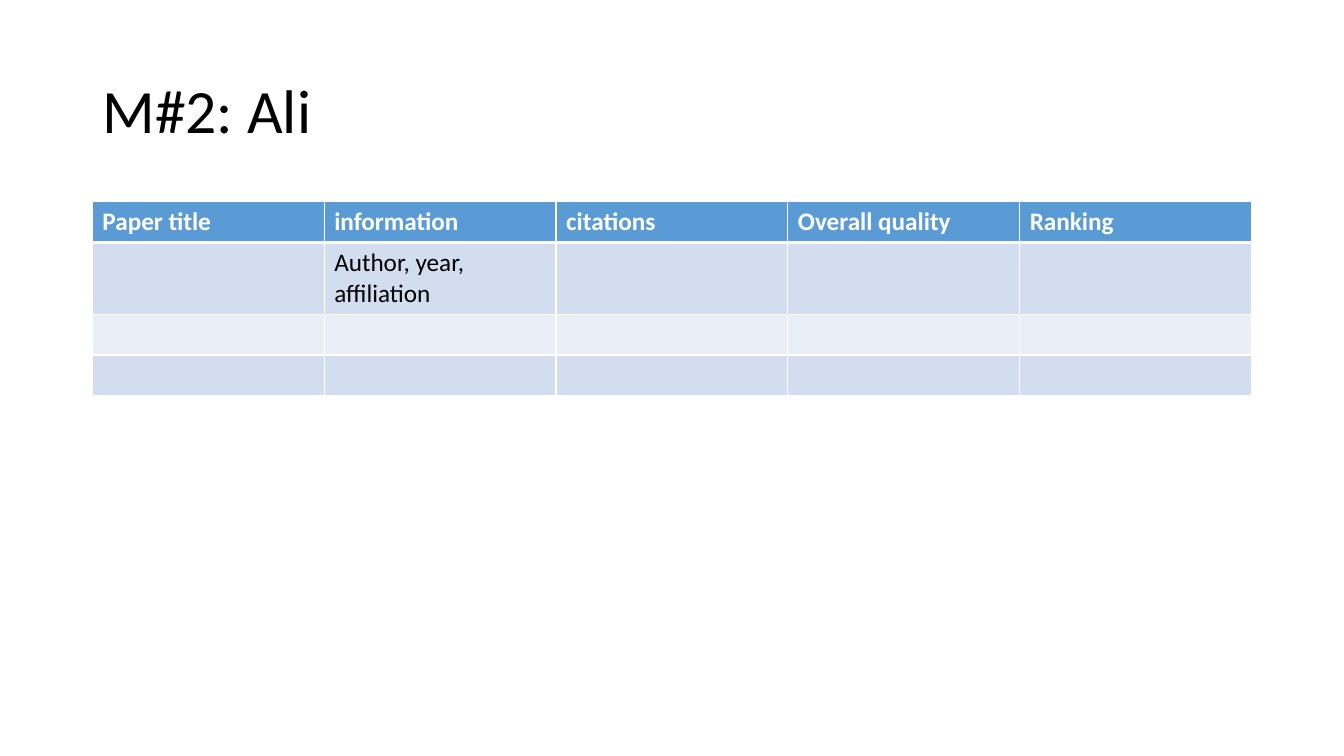
from dataclasses import dataclass

from lxml import etree
from pptx import Presentation
from pptx.dml.color import RGBColor
from pptx.enum.text import MSO_ANCHOR, MSO_AUTO_SIZE, PP_ALIGN
from pptx.oxml.ns import qn
from pptx.slide import Slide
from pptx.table import _Cell
from pptx.text.text import _Paragraph
from pptx.util import Pt

LEFT = PP_ALIGN.LEFT
MIDDLE = MSO_ANCHOR.MIDDLE
NO_AUTOFIT = MSO_AUTO_SIZE.NONE

COLORS = {
    "white": "FFFFFF",
    "black": "000000",
    "header": "5B9BD5",
    "dark band": "D2DEEF",
    "light band": "EAEFF7",
}
FONT_NAME = "Calibri"
CONTENT_LEFT, CONTENT_WIDTH = Pt(66), Pt(828)
ROW_HEIGHT = Pt(29.2)
THIN, THICK = Pt(1), Pt(3)


@dataclass
class TableRow:
    texts: tuple[str, ...]
    fill: str
    color: str = "black"
    bold: bool = False
    top: int = THIN
    bottom: int = THIN


PAPER_ROWS = (
    TableRow(
        ("Paper title", "information", "citations", "Overall quality", "Ranking"),
        "header", color="white", bold=True, bottom=THICK,
    ),
    TableRow(("", "Author, year, affiliation", "", "", ""), "dark band", top=THICK),
    TableRow(("",) * 5, "light band"),
    TableRow(("",) * 5, "dark band"),
)


def format_paragraph(paragraph: _Paragraph, size: float, color: str, bold: bool) -> None:
    font_format = {"name": FONT_NAME, "size": Pt(size), "bold": bold}
    for name, value in font_format.items():
        setattr(paragraph.font, name, value)
    paragraph.font.color.rgb = RGBColor.from_string(COLORS[color])


def add_cell_borders(cell: _Cell, row: TableRow) -> None:
    """Add white borders; call before filling, as the schema puts lines first."""
    properties = cell._tc.get_or_add_tcPr()
    widths = {"a:lnL": THIN, "a:lnR": THIN, "a:lnT": row.top, "a:lnB": row.bottom}
    for tag, width in widths.items():
        line = etree.SubElement(properties, qn(tag), w=str(int(width)))
        fill = etree.SubElement(line, qn("a:solidFill"))
        etree.SubElement(fill, qn("a:srgbClr"), val=COLORS["white"])


def add_title(slide: Slide, text: str) -> None:
    title = slide.shapes.title
    position = {
        "left": CONTENT_LEFT, "top": Pt(28.75),
        "width": CONTENT_WIDTH, "height": Pt(104.4),
    }
    for name, value in position.items():
        setattr(title, name, value)
    frame = title.text_frame
    frame.text = text
    frame.auto_size = NO_AUTOFIT
    frame.vertical_anchor = MIDDLE
    paragraph = frame.paragraphs[0]
    paragraph.alignment = LEFT
    paragraph.line_spacing = 0.9
    format_paragraph(paragraph, 44, "black", False)


def add_paper_table(slide: Slide, rows: tuple[TableRow, ...]) -> None:
    table = slide.shapes.add_table(
        len(rows), len(rows[0].texts),
        CONTENT_LEFT, Pt(144), CONTENT_WIDTH, ROW_HEIGHT * len(rows),
    ).table
    for row_index, row in enumerate(rows):
        for column_index, text in enumerate(row.texts):
            cell = table.cell(row_index, column_index)
            cell.text = text
            format_paragraph(cell.text_frame.paragraphs[0], 18, row.color, row.bold)
            add_cell_borders(cell, row)
            cell.fill.solid()
            cell.fill.fore_color.rgb = RGBColor.from_string(COLORS[row.fill])


def main() -> None:
    presentation = Presentation()
    presentation.slide_width = Pt(960)
    presentation.slide_height = Pt(540)
    title_only_layout = presentation.slide_layouts[5]
    slide = presentation.slides.add_slide(title_only_layout)
    add_title(slide, "M#2: Ali")
    add_paper_table(slide, PAPER_ROWS)
    presentation.save("out.pptx")


if __name__ == "__main__":
    main()
